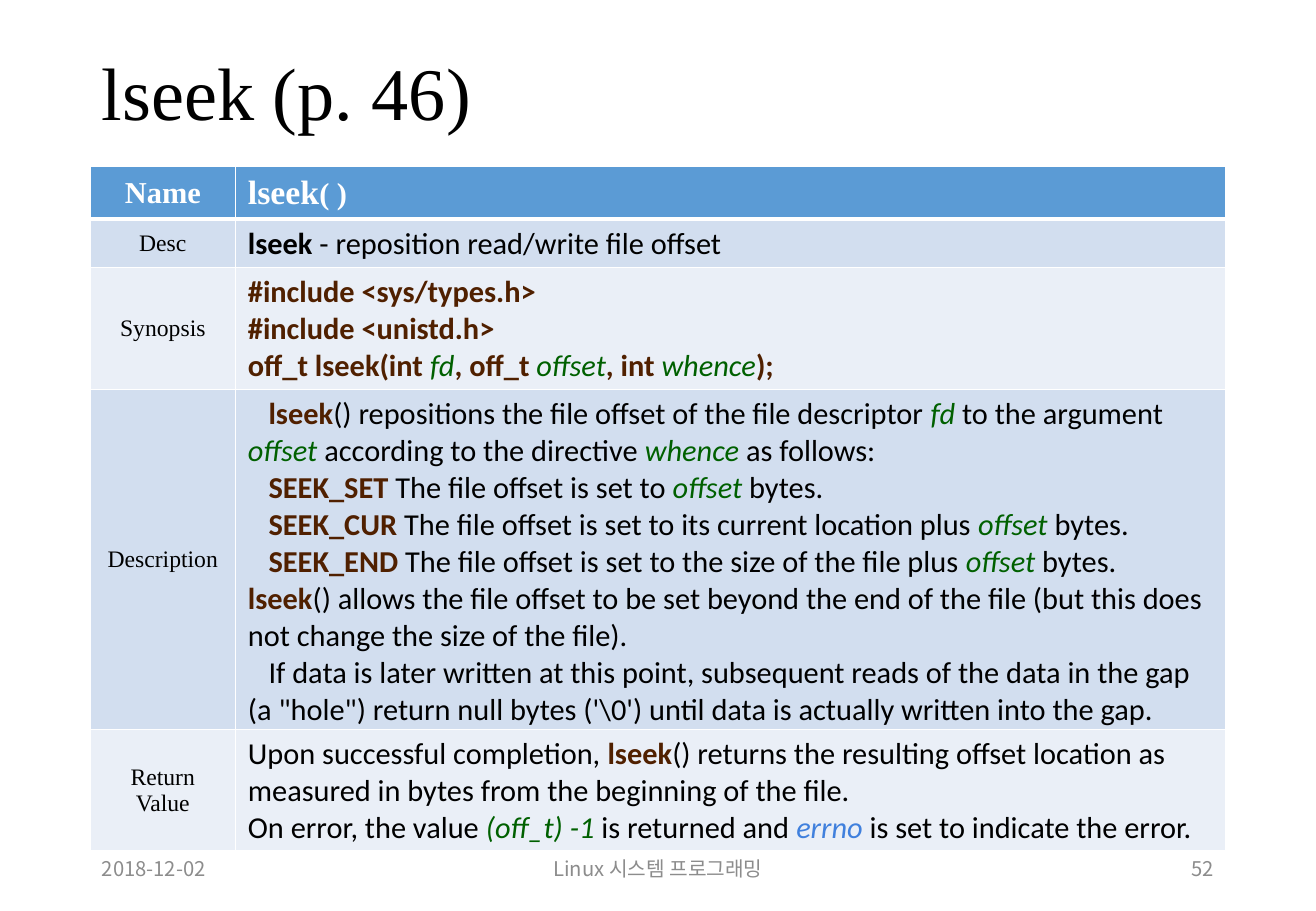
from lxml import etree
from pptx import Presentation
from pptx import util as u
from pptx.dml.color import RGBColor
from pptx.enum import text as t
from pptx.oxml.ns import qn

BLACK = RGBColor(0, 0, 0)
WHITE = RGBColor(255, 255, 255)
GRAY = RGBColor(0x8C, 0x8C, 0x8C)
BROWN = RGBColor(0x50, 0x20, 0x00)
GREEN = RGBColor(0x00, 0x60, 0x00)
BLUE = RGBColor(0x40, 0x80, 0xDD)
HEADER = RGBColor(0x5B, 0x9B, 0xD5)
BANDS = RGBColor(0xD2, 0xDE, 0xEF), RGBColor(0xEA, 0xEF, 0xF7)
SERIF, SANS, KOREAN = "Times New Roman", "Calibri", "Noto Sans CJK KR"

CODE = {"color": BROWN, "bold": True}
ARG = {"color": GREEN, "italic": True}
VARIABLE = {"color": BLUE, "italic": True}
STRONG = {"bold": True}
SMALL = {"size": 18}
INDENT = "indent"

TITLE = "lseek (p. 46)"
HEADINGS = ["Name"], [["lseek", ("( )", SMALL)]]
SECTIONS = [
    (["Desc"], 1, [[("lseek", STRONG), " - reposition read/write file offset"]]),
    (["Synopsis"], 3, [
        [("#include <sys/types.h>", CODE)],
        [("#include <unistd.h>", CODE)],
        [("off_t lseek(int ", CODE), ("fd", ARG), (", off_t ", CODE), ("offset", ARG),
         (", int ", CODE), ("whence", ARG), (");", CODE)],
    ]),
    (["Description"], 9, [
        [INDENT, ("lseek", CODE), "() repositions the file offset of the file descriptor ",
         ("fd", ARG), " to the argument ", ("offset", ARG),
         " according to the directive ", ("whence", ARG), " as follows:"],
        [INDENT, ("SEEK_SET", CODE), " The file offset is set to ", ("offset", ARG), " bytes."],
        [INDENT, ("SEEK_CUR", CODE), " The file offset is set to its current location plus ",
         ("offset", ARG), " bytes."],
        [INDENT, ("SEEK_END", CODE), " The file offset is set to the size of the file plus ",
         ("offset", ARG), " bytes."],
        [("lseek", CODE), "() allows the file offset to be set beyond the end of the file "
         "(but this does not change the size of the file)."],
        [INDENT, "If data is later written at this point, subsequent reads of the data in the gap "
         "(a \"hole\") return null bytes ('\\0') until data is actually written into the gap."],
    ]),
    (["Return", "Value"], 3, [
        ["Upon successful completion, ", ("lseek", CODE), "() returns the resulting offset "
         "location as measured in bytes from the beginning of the file."],
        ["On error, the value ", ("(off_t) -1", ARG), " is returned and ", ("errno", VARIABLE),
         " is set to indicate the error."],
    ]),
]
FOOTER = [
    ("2018-12-02", 1.27, 0, t.PP_ALIGN.LEFT),
    ("Linux 시스템 프로그래밍", 3.66, 0.5, t.PP_ALIGN.CENTER),
    ("52", 0.53, 1, t.PP_ALIGN.RIGHT),
]

SLIDE_W, SLIDE_H = 10.83, 7.5
MARGIN = 0.74
CONTENT_W = SLIDE_W - 2 * MARGIN
LABEL_W = 1.2
LINE_H, CELL_PAD = 0.3, 0.1


def write(frame, paragraphs, size=18, font=SANS, color=BLACK, bold=False,
          align=t.PP_ALIGN.LEFT, spacing=None):
    for number, parts in enumerate(paragraphs):
        paragraph = frame.add_paragraph() if number else frame.paragraphs[0]
        paragraph.alignment = align
        if spacing:
            paragraph.line_spacing = spacing
        for part in [parts] if isinstance(parts, str) else parts:
            if part == INDENT:
                paragraph._p.get_or_add_pPr().set("indent", str(u.Inches(0.17)))
                continue
            words, style = (part, {}) if isinstance(part, str) else part
            run = paragraph.add_run()
            run.text = words
            run.font.size = u.Pt(style.get("size", size))
            run.font.name = font
            run.font.bold = style.get("bold", bold)
            run.font.italic = style.get("italic", False)
            run.font.color.rgb = style.get("color", color)
            etree.SubElement(run._r.rPr, qn("a:ea")).set("typeface", font)


def add_text(left, top, width, height, words, **style):
    frame = slide.shapes.add_textbox(*map(u.Inches, (left, top, width, height))).text_frame
    frame.word_wrap = True
    frame.vertical_anchor = t.MSO_ANCHOR.MIDDLE
    write(frame, [words], **style)


def dress(cell, fill, top, bottom):
    cell.vertical_anchor = t.MSO_ANCHOR.MIDDLE
    cell.fill.solid()
    cell.fill.fore_color.rgb = fill
    edges = ("lnL", 1), ("lnR", 1), ("lnT", top), ("lnB", bottom)
    for place, (edge, points) in enumerate(edges):
        line = etree.Element(qn("a:" + edge), w=str(u.Pt(points)))
        paint = etree.SubElement(line, qn("a:solidFill"))
        etree.SubElement(paint, qn("a:srgbClr")).set("val", str(WHITE))
        cell._tc.tcPr.insert(place, line)


deck = Presentation()
deck.slide_width, deck.slide_height = u.Inches(SLIDE_W), u.Inches(SLIDE_H)
slide = deck.slides.add_slide(deck.slide_layouts[6])

add_text(MARGIN, 0.4, CONTENT_W, 0.79, TITLE, size=44, font=SERIF, spacing=0.9)
for words, width, share, align in FOOTER[::2]:
    add_text(MARGIN + share * (CONTENT_W - width), 6.95, width, 0.4, words,
             size=12, font=KOREAN, color=GRAY, align=align)

heights = [0.39] + [lines * LINE_H + CELL_PAD for _, lines, _ in SECTIONS]
manual = slide.shapes.add_table(
    len(heights), 2, *map(u.Inches, (MARGIN, 1.37, CONTENT_W, sum(heights)))).table
manual.columns[0].width = u.Inches(LABEL_W)
manual.columns[1].width = u.Inches(CONTENT_W - LABEL_W)
for row, height in zip(manual.rows, heights):
    row.height = u.Inches(height)

for column, (heading, size, align) in enumerate(
        zip(HEADINGS, (18, 20), (t.PP_ALIGN.CENTER, t.PP_ALIGN.LEFT))):
    cell = manual.cell(0, column)
    dress(cell, HEADER, 1, 3)
    write(cell.text_frame, heading, size=size, font=SERIF, color=WHITE, bold=True, align=align)

for row, (label, _, body) in enumerate(SECTIONS, 1):
    for column in range(2):
        dress(manual.cell(row, column), BANDS[(row - 1) % 2], 3 if row == 1 else 1, 1)
    write(manual.cell(row, 0).text_frame, label, size=14, font=SERIF, align=t.PP_ALIGN.CENTER)
    write(manual.cell(row, 1).text_frame, body)

words, width, share, align = FOOTER[1]
add_text(MARGIN + share * (CONTENT_W - width), 6.95, width, 0.4, words,
         size=12, font=KOREAN, color=GRAY, align=align)

deck.save("out.pptx")
